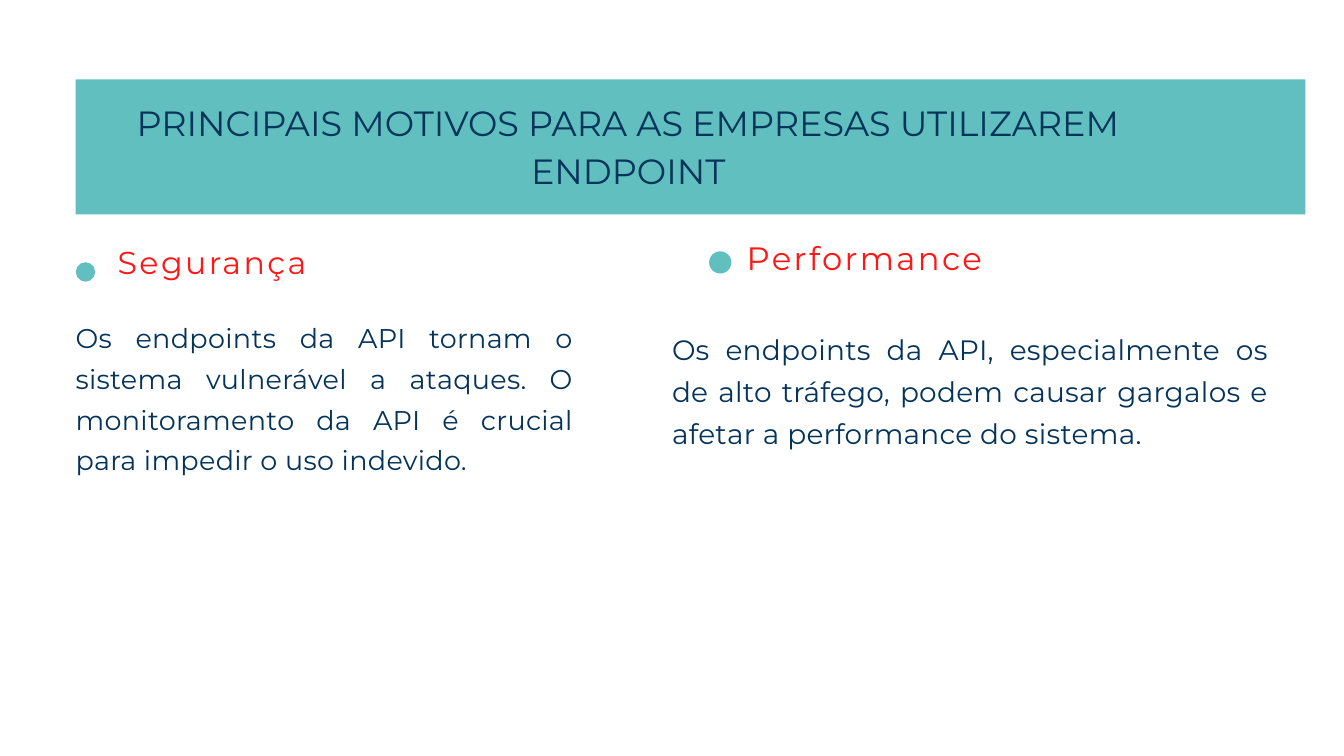
from dataclasses import dataclass

from pptx import Presentation
from pptx.dml.color import RGBColor
from pptx.enum.shapes import MSO_SHAPE
from pptx.enum.text import MSO_AUTO_SIZE, PP_ALIGN
from pptx.util import Pt

RECTANGLE, OVAL = MSO_SHAPE.RECTANGLE, MSO_SHAPE.OVAL
LEFT, CENTER, JUSTIFY = PP_ALIGN.LEFT, PP_ALIGN.CENTER, PP_ALIGN.JUSTIFY
NO_AUTOFIT = MSO_AUTO_SIZE.NONE

FONT = "Montserrat"
COLORS = {"teal": "61BFBF", "navy": "05345B", "red": "FF1616"}


@dataclass(frozen=True)
class Frame:
    """Position and size in points."""
    left: float
    top: float
    width: float
    height: float

    def lengths(self) -> tuple[Pt, Pt, Pt, Pt]:
        return Pt(self.left), Pt(self.top), Pt(self.width), Pt(self.height)


@dataclass(frozen=True)
class TextStyle:
    """Sizes, line height and letter spacing in points."""
    size: float
    line_height: float
    color: str
    align: PP_ALIGN
    spacing: float = 0


@dataclass(frozen=True)
class Label:
    text: str
    frame: Frame
    style: TextStyle


@dataclass(frozen=True)
class Reason:
    dot: Frame
    heading: Label
    body: Label


TITLE = Label(
    "PRINCIPAIS MOTIVOS PARA AS EMPRESAS UTILIZAREM ENDPOINT",
    Frame(124.6, 103.7, 1097.3, 98),
    TextStyle(37.5, 50.6, "navy", CENTER),
)
BANNER = Frame(81, 85, 1317.6, 144.7)

REASONS = [
    Reason(
        Frame(81.2, 281, 20.8, 20.8),
        Label("Segurança", Frame(126, 257, 505, 130),
              TextStyle(33.9, 44.1, "red", LEFT, 2.6)),
        Label("Os endpoints da API tornam o sistema vulnerável a ataques. "
              "O monitoramento da API é crucial para impedir o uso indevido.",
              Frame(81, 336.2, 533.5, 215),
              TextStyle(29, 43.5, "navy", JUSTIFY, 0.3)),
    ),
    Reason(
        Frame(759.8, 269.3, 23.8, 23.8),
        Label("Performance", Frame(800, 252, 528, 135),
              TextStyle(34.6, 45, "red", LEFT, 2.6)),
        Label("Os endpoints da API, especialmente os de alto tráfego, podem "
              "causar gargalos e afetar a performance do sistema.",
              Frame(720, 347, 639.4, 176),
              TextStyle(30, 45, "navy", JUSTIFY, 0.3)),
    ),
]


def add_filled_shape(page, kind: MSO_SHAPE, frame: Frame) -> None:
    shape = page.shapes.add_shape(kind, *frame.lengths())
    shape.shadow.inherit = False
    shape.fill.solid()
    shape.fill.fore_color.rgb = RGBColor.from_string(COLORS["teal"])
    shape.line.fill.background()


def add_label(page, label: Label) -> None:
    style = label.style
    text_frame = page.shapes.add_textbox(*label.frame.lengths()).text_frame
    text_frame.word_wrap = True
    text_frame.auto_size = NO_AUTOFIT
    text_frame.margin_left = text_frame.margin_right = Pt(0)
    text_frame.margin_top = text_frame.margin_bottom = Pt(0)

    para = text_frame.paragraphs[0]
    para.alignment = style.align
    para.line_spacing = Pt(style.line_height)
    para.font.name = FONT
    para.font.size = Pt(style.size)
    para.font.color.rgb = RGBColor.from_string(COLORS[style.color])

    span = para.add_run()
    span.text = label.text
    if style.spacing:
        span._r.get_or_add_rPr().set("spc", str(round(style.spacing * 100)))


def main() -> None:
    deck = Presentation()
    deck.slide_width, deck.slide_height = Pt(1440), Pt(810)
    page = deck.slides.add_slide(deck.slide_layouts[6])

    add_filled_shape(page, RECTANGLE, BANNER)
    add_label(page, TITLE)
    for reason in REASONS:
        add_filled_shape(page, OVAL, reason.dot)
        add_label(page, reason.heading)
        add_label(page, reason.body)

    deck.save("out.pptx")


if __name__ == "__main__":
    main()
